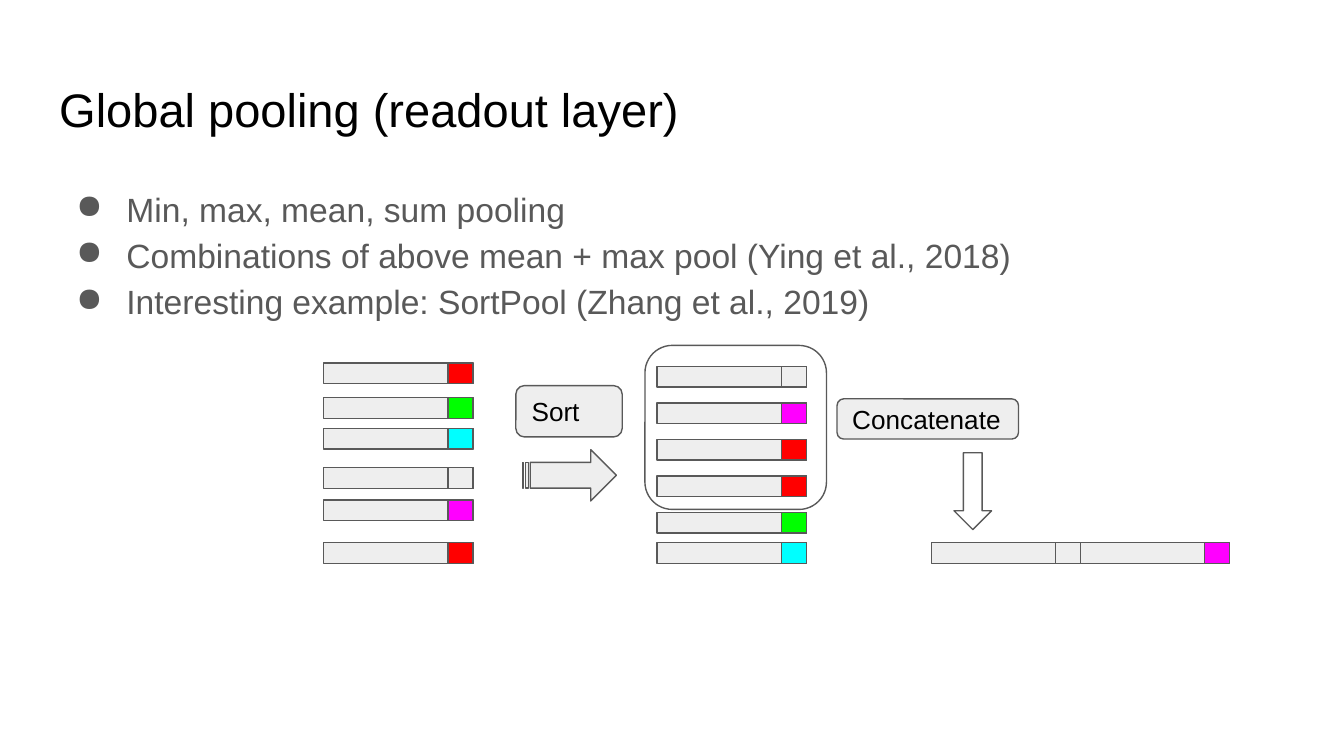
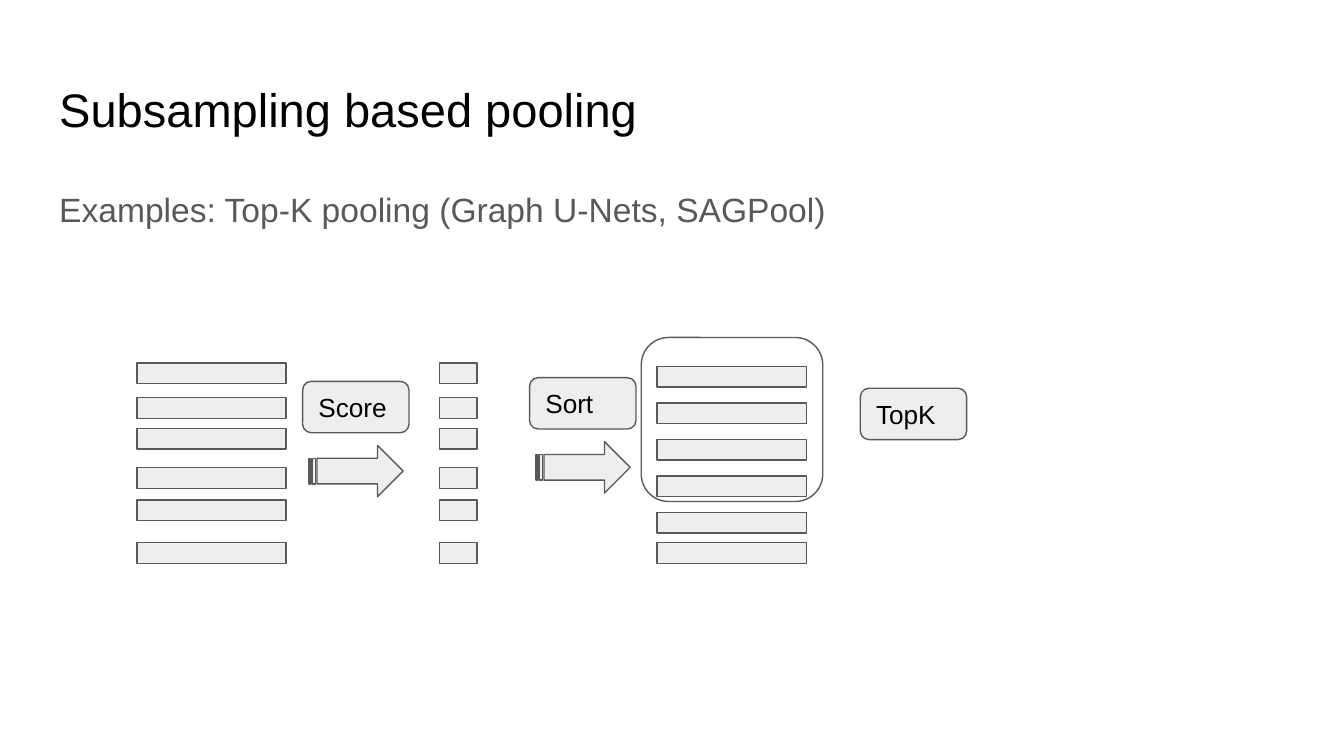
"""Build two slides on graph pooling: global pooling and subsampling."""
from typing import NamedTuple

from lxml.etree import SubElement
from pptx import Presentation
from pptx.dml.color import RGBColor
from pptx.enum.shapes import MSO_SHAPE
from pptx.enum.text import MSO_ANCHOR, PP_ALIGN
from pptx.oxml.ns import qn
from pptx.util import Cm, Pt

COLORS = {
    "ink": "000000",
    "gray": "595959",
    "pale": "EEEEEE",
    "red": "FF0000",
    "green": "00FF00",
    "cyan": "00FFFF",
    "magenta": "FF00FF",
}
FONT = "Arial"
INSET = 0.25
BAR_WIDTH, BAR_HEIGHT, MARK_WIDTH, SCORE_WIDTH = 2.82, 0.39, 0.47, 0.71
LABEL_WIDTH, LABEL_HEIGHT = 2.01, 0.97
INPUT_TOPS = [0.48, 1.14, 1.72, 2.46, 3.07, 3.88]
SORTED_TOPS = [0.55 + 0.69 * rank for rank in range(5)] + [3.88]
SORTED_LEFT = 9.83


class Box(NamedTuple):
    """A rectangle in centimetres."""

    left: float
    top: float
    width: float
    height: float

    def inner(self, left, top, width, height):
        """Return a box placed relative to this one."""
        return Box(self.left + left, self.top + top, width, height)

    def lengths(self):
        """Return the four sides as slide lengths."""
        return [Cm(side) for side in self]


TITLE_BOX = Box(0.87, 1.24, 23.67, 1.6)
BODY_BOX = Box(0.87, 3.2, 23.67, 9.5)
DIAGRAM_BOX = Box(2.59, 6.38, 20.65, 4.27)


def color(name):
    """Return a palette colour."""
    return RGBColor.from_string(COLORS[name])


def write(frame, lines, size, ink, anchor, spacing=1.0, bulleted=False):
    """Fill a text frame with one paragraph per line."""
    frame.word_wrap = True
    frame.vertical_anchor = anchor
    frame.margin_left = frame.margin_right = Cm(INSET)
    frame.margin_top = frame.margin_bottom = Cm(INSET)
    for index, line in enumerate(lines):
        para = frame.add_paragraph() if index else frame.paragraphs[0]
        para.text = line
        para.alignment = PP_ALIGN.LEFT
        para.line_spacing = spacing
        if bulleted:
            add_bullet(para)
        para.font.name = FONT
        para.font.size = Pt(size)
        para.font.color.rgb = color(ink)


def add_bullet(para):
    """Give a paragraph a round bullet and a hanging indent."""
    properties = para._p.get_or_add_pPr()
    properties.set("marL", str(Cm(1.27)))
    properties.set("indent", str(-Cm(0.95)))
    bullet_color = SubElement(properties, qn("a:buClr"))
    SubElement(bullet_color, qn("a:srgbClr")).set("val", COLORS["gray"])
    SubElement(properties, qn("a:buChar")).set("char", "●")


def add_part(page, kind, box, fill="pale"):
    """Draw an outlined shape, hollow when fill is None."""
    shape = page.shapes.add_shape(kind, *box.lengths())
    shape.shadow.inherit = False
    if fill:
        shape.fill.solid()
        shape.fill.fore_color.rgb = color(fill)
    else:
        shape.fill.background()
    shape.line.color.rgb = color("gray")
    shape.line.width = Pt(0.75)
    return shape


def add_label(page, box, text):
    """Draw a rounded label."""
    label = add_part(page, MSO_SHAPE.ROUNDED_RECTANGLE, box)
    write(label.text_frame, [text], 14, "ink", MSO_ANCHOR.MIDDLE)


def add_step(page, box, text):
    """Draw a label above a striped arrow."""
    add_label(page, box.inner(0, 0, LABEL_WIDTH, LABEL_HEIGHT), text)
    arrow_box = box.inner(0.12, 1.21, 1.78, LABEL_HEIGHT)
    add_part(page, MSO_SHAPE.STRIPED_RIGHT_ARROW, arrow_box)


def add_vector(page, box, mark=None):
    """Draw a feature bar, with a coloured last cell if asked."""
    add_part(page, MSO_SHAPE.RECTANGLE, box)
    if mark:
        cell = box.inner(box.width - MARK_WIDTH, 0, MARK_WIDTH, box.height)
        add_part(page, MSO_SHAPE.RECTANGLE, cell, mark)


def add_stack(page, box, tops, marks=None):
    """Draw a column of vectors at the given heights in the box."""
    for top, mark in zip(tops, marks or [None] * len(tops)):
        add_vector(page, box.inner(0, top, box.width, BAR_HEIGHT), mark)


def add_selection(page, box):
    """Draw the hollow frame around the top vectors."""
    add_part(page, MSO_SHAPE.ROUNDED_RECTANGLE, box, None)


def add_page(deck, title, lines, bulleted=False):
    """Add a slide with its title and body text."""
    page = deck.slides.add_slide(deck.slide_layouts[6])
    heading = page.shapes.add_textbox(*TITLE_BOX.lengths())
    write(heading.text_frame, [title], 25.2, "ink", MSO_ANCHOR.BOTTOM)
    body = page.shapes.add_textbox(*BODY_BOX.lengths())
    write(body.text_frame, lines, 18, "gray", MSO_ANCHOR.TOP, 1.15, bulleted)
    return page


def draw_sort_pool(page, box):
    """Draw sorting by last channel, then concatenation."""
    add_stack(page, box.inner(3.53, 0, BAR_WIDTH, box.height), INPUT_TOPS,
              ["red", "green", "cyan", "pale", "magenta", "red"])
    add_step(page, box.inner(7.16, 0.91, LABEL_WIDTH, 2.18), "Sort")
    add_stack(page, box.inner(SORTED_LEFT, 0, BAR_WIDTH, box.height), SORTED_TOPS,
              ["pale", "magenta", "red", "red", "green", "cyan"])
    add_selection(page, box.inner(9.6, 0.15, 3.43, 3.1))
    add_label(page, box.inner(13.23, 1.16, 3.43, 0.76), "Concatenate")
    for index, mark in enumerate(["pale", "magenta"]):
        left = 15.01 + index * BAR_WIDTH
        add_vector(page, box.inner(left, INPUT_TOPS[-1], BAR_WIDTH, BAR_HEIGHT), mark)
    add_part(page, MSO_SHAPE.DOWN_ARROW, box.inner(15.44, 2.18, 0.71, 1.45), None)


def draw_top_k(page, box):
    """Draw scoring, sorting and selection of the top vectors."""
    add_stack(page, box.inner(0, 0, BAR_WIDTH, box.height), INPUT_TOPS)
    add_step(page, box.inner(3.13, 0.83, LABEL_WIDTH, 2.18), "Score")
    add_stack(page, box.inner(5.72, 0, SCORE_WIDTH, box.height), INPUT_TOPS)
    add_step(page, box.inner(7.42, 0.76, LABEL_WIDTH, 2.18), "Sort")
    add_selection(page, box.inner(9.53, 0, 3.43, 3.1))
    add_stack(page, box.inner(SORTED_LEFT, 0, BAR_WIDTH, box.height), SORTED_TOPS)
    add_label(page, box.inner(13.67, 0.96, LABEL_WIDTH, LABEL_HEIGHT), "TopK")


def main():
    """Build and save the deck."""
    deck = Presentation()
    deck.slide_width, deck.slide_height = Cm(25.4), Cm(14.29)
    page = add_page(deck, "Global pooling (readout layer)", [
        "Min, max, mean, sum pooling",
        "Combinations of above mean + max pool (Ying et al., 2018)",
        "Interesting example: SortPool (Zhang et al., 2019)",
    ], bulleted=True)
    draw_sort_pool(page, DIAGRAM_BOX)
    page = add_page(deck, "Subsampling based pooling",
                    ["Examples: Top-K pooling (Graph U-Nets, SAGPool)"])
    draw_top_k(page, DIAGRAM_BOX)
    deck.save("out.pptx")


if __name__ == "__main__":
    main()
